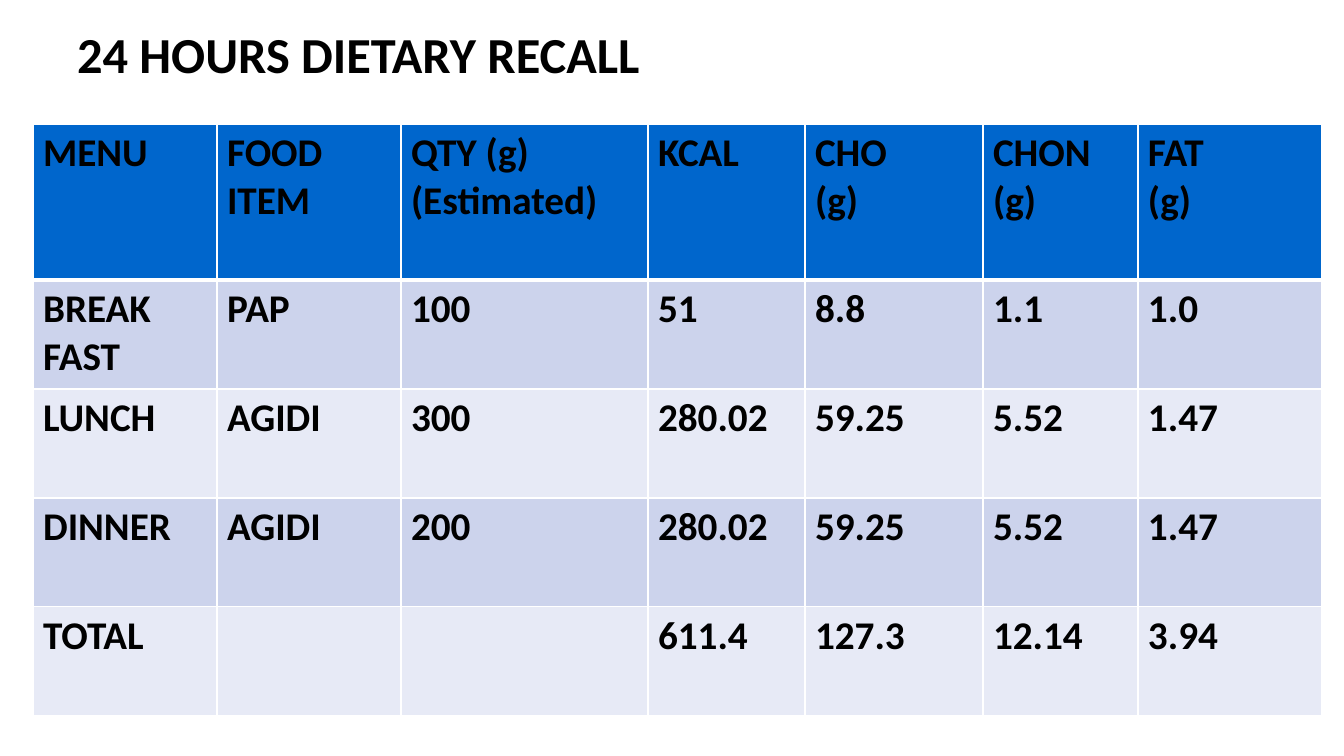
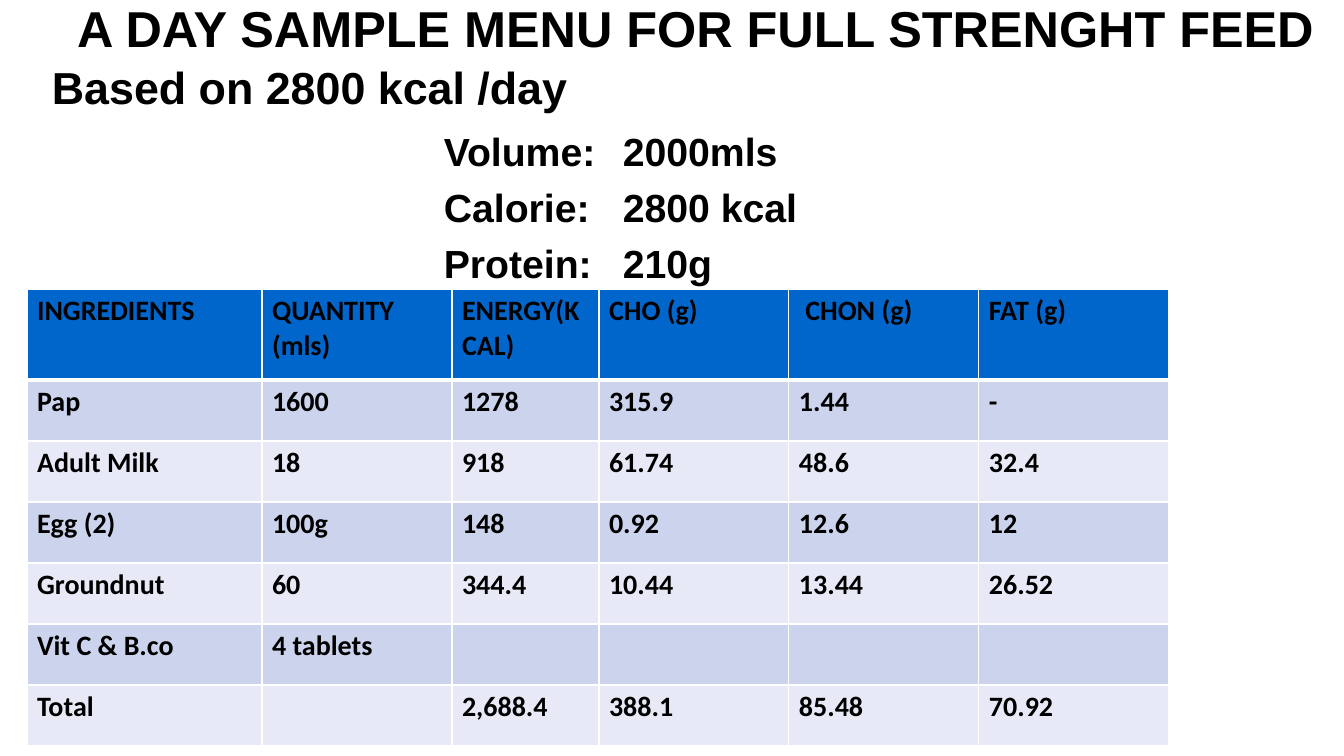
from dataclasses import dataclass

from lxml.etree import SubElement
from pptx import Presentation
from pptx.dml.color import RGBColor
from pptx.enum.text import MSO_ANCHOR, MSO_AUTO_SIZE, PP_ALIGN
from pptx.oxml import parse_xml
from pptx.oxml.ns import nsdecls, qn
from pptx.util import Emu, Pt

# Shared look
PX_PER_INCH = 100.8
BLACK = RGBColor(0x00, 0x00, 0x00)
WHITE = RGBColor(0xFF, 0xFF, 0xFF)
HEADER_BLUE = RGBColor(0x00, 0x66, 0xCC)
BAND_DARK = RGBColor(0xCC, 0xD3, 0xEC)
BAND_LIGHT = RGBColor(0xE7, 0xEA, 0xF6)
TITLE_SIZE = 36
THIN_BORDER, THICK_BORDER = 1, 3


@dataclass(frozen=True)
class Box:
    left: int
    top: int
    width: int
    height: int


@dataclass(frozen=True)
class FoodTable:
    left: int
    top: int
    columns: tuple[int, ...]
    header_height: int
    row_height: int
    font_size: int
    rows: tuple[tuple[str, ...], ...]


@dataclass(frozen=True)
class Line:
    text: str
    size: int
    space_before: float


RECALL_TABLE = FoodTable(
    33, 124, (184, 184, 247, 157, 178, 155, 184), 156, 109, 28,
    (
        ("MENU", "FOOD ITEM", "QTY (g)\n(Estimated)", "KCAL",
         "CHO\n(g)", "CHON\n(g)", "FAT\n(g)"),
        ("BREAK\nFAST", "PAP", "100", "51", "8.8", "1.1", "1.0"),
        ("LUNCH", "AGIDI", "300", "280.02", "59.25", "5.52", "1.47"),
        ("DINNER", "AGIDI", "200", "280.02", "59.25", "5.52", "1.47"),
        ("TOTAL", "", "", "611.4", "127.3", "12.14", "3.94"),
    ),
)

MENU_TABLE = FoodTable(
    27, 289, (235, 190, 147, 190, 190, 190), 91, 61, 20,
    (
        ("INGREDIENTS", "QUANTITY (mls)", "ENERGY(KCAL)", "CHO (g)",
         " CHON (g)", "FAT (g)"),
        ("Pap", "1600", "1278", "315.9", "1.44", "-"),
        ("Adult Milk", "18", "918", "61.74", "48.6", "32.4"),
        ("Egg (2)", "100g", "148", "0.92", "12.6", "12"),
        ("Groundnut", "60", "344.4", "10.44", "13.44", "26.52"),
        ("Vit C & B.co", "4 tablets", "", "", "", ""),
        ("Total", "", "2,688.4", "388.1", "85.48", "70.92"),
    ),
)

FEED_LINES = (
    Line("Based on 2800 kcal /day", 32, 0),
    Line("\tVolume:\t2000mls", 28, 10),
    Line("\tCalorie:\t2800 kcal", 28, 6.2),
    Line("\tProtein:\t210g", 28, 6.2),
)
FEED_TABS = (392, 571)


def px(length: int) -> Emu:
    return Emu(round(length * 914400 / PX_PER_INCH))


def place(shape, box: Box) -> None:
    shape.left, shape.top = px(box.left), px(box.top)
    shape.width, shape.height = px(box.width), px(box.height)


def add_run(paragraph, text: str, font_name: str, size: int) -> None:
    run = paragraph.add_run()
    run.text = text
    run.font.name = font_name
    run.font.size = Pt(size)
    run.font.bold = True
    run.font.color.rgb = BLACK


def add_titled_slide(presentation, title: str, font_name: str, box: Box):
    slide = presentation.slides.add_slide(presentation.slide_layouts[5])
    shape = slide.shapes.title
    place(shape, box)
    frame = shape.text_frame
    frame.auto_size = MSO_AUTO_SIZE.NONE
    frame.vertical_anchor = MSO_ANCHOR.MIDDLE
    paragraph = frame.paragraphs[0]
    paragraph.alignment = PP_ALIGN.LEFT
    add_run(paragraph, title, font_name, TITLE_SIZE)
    return slide


def set_borders(cell, top: int, bottom: int) -> None:
    """Draw white cell edges; widths are in points."""
    properties = cell._tc.get_or_add_tcPr()
    edges = (("L", THIN_BORDER), ("R", THIN_BORDER), ("T", top), ("B", bottom))
    for position, (side, width) in enumerate(edges):
        properties.insert(position, parse_xml(
            f'<a:ln{side} {nsdecls("a")} w="{Pt(width)}"><a:solidFill>'
            f'<a:srgbClr val="{WHITE}"/></a:solidFill></a:ln{side}>'))


def add_food_table(slide, food: FoodTable) -> None:
    rows, columns = food.rows, food.columns
    height = food.header_height + food.row_height * (len(rows) - 1)
    table = slide.shapes.add_table(
        len(rows), len(columns), px(food.left), px(food.top),
        px(sum(columns)), px(height)).table
    for column, width in zip(table.columns, columns):
        column.width = px(width)
    for row_index, texts in enumerate(rows):
        is_header = row_index == 0
        table.rows[row_index].height = px(
            food.header_height if is_header else food.row_height)
        band = BAND_DARK if row_index % 2 else BAND_LIGHT
        for column_index, text in enumerate(texts):
            cell = table.cell(row_index, column_index)
            cell.fill.solid()
            cell.fill.fore_color.rgb = HEADER_BLUE if is_header else band
            set_borders(cell,
                        THICK_BORDER if row_index == 1 else THIN_BORDER,
                        THICK_BORDER if is_header else THIN_BORDER)
            if not text:
                continue
            frame = cell.text_frame
            for line_index, line in enumerate(text.split("\n")):
                paragraph = frame.add_paragraph() if line_index else frame.paragraphs[0]
                add_run(paragraph, line, "Calibri", food.font_size)


def add_feed_summary(slide, box: Box) -> None:
    shape = slide.shapes.add_textbox(0, 0, 0, 0)
    place(shape, box)
    frame = shape.text_frame
    frame.word_wrap = True
    for index, line in enumerate(FEED_LINES):
        paragraph = frame.add_paragraph() if index else frame.paragraphs[0]
        paragraph.space_before = Pt(line.space_before)
        # Tab stops align the labels and the values
        tab_list = SubElement(paragraph._p.get_or_add_pPr(), qn("a:tabLst"))
        for stop in FEED_TABS:
            SubElement(tab_list, qn("a:tab"), pos=str(px(stop)), algn="l")
        add_run(paragraph, line.text, "Arial", line.size)


def main() -> None:
    presentation = Presentation()
    presentation.slide_width, presentation.slide_height = px(1344), px(756)

    # Dietary recall
    recall = add_titled_slide(presentation, "24 HOURS DIETARY RECALL",
                              "Calibri", Box(67, 21, 1210, 65))
    add_food_table(recall, RECALL_TABLE)

    # Sample menu
    menu = add_titled_slide(presentation, "A DAY SAMPLE MENU FOR FULL STRENGHT FEED",
                            "Arial", Box(67, 0, 1277, 55))
    add_feed_summary(menu, Box(42, 55, 1235, 234))
    add_food_table(menu, MENU_TABLE)

    presentation.save("out.pptx")


if __name__ == "__main__":
    main()
